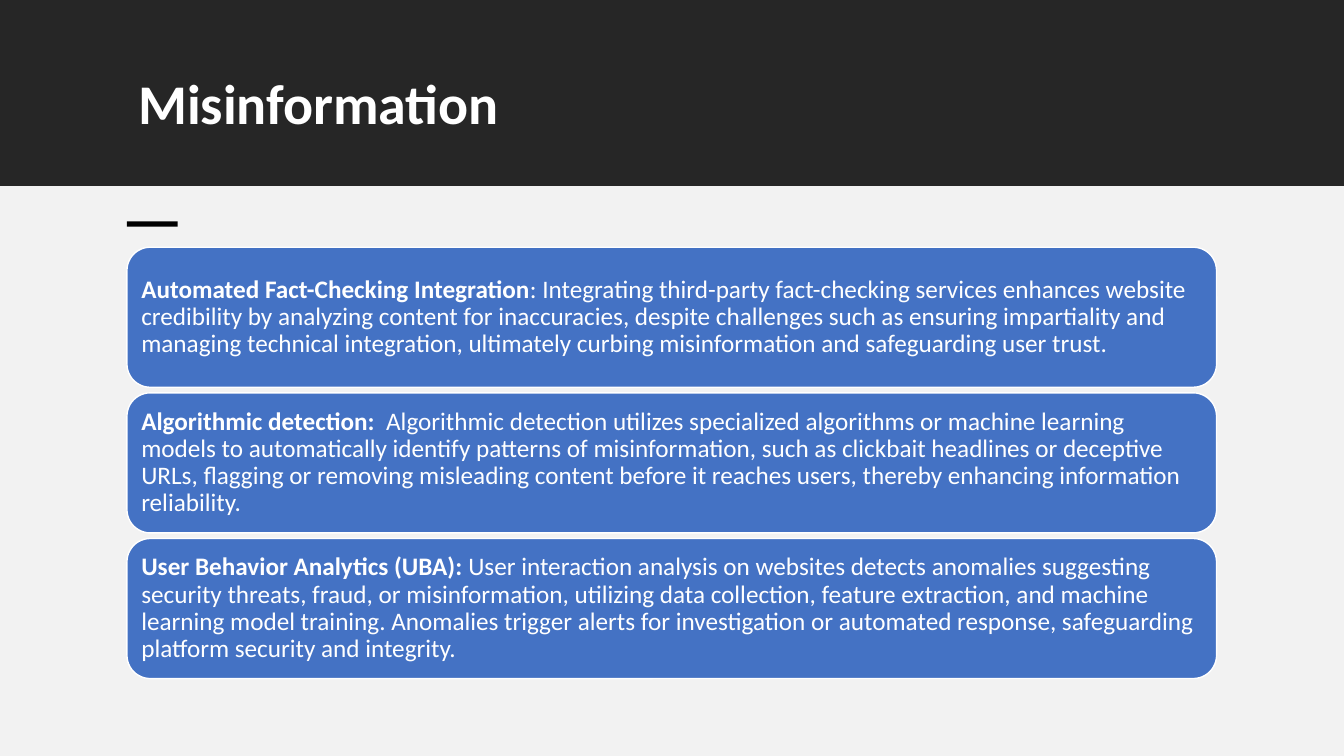
from pptx import Presentation
from pptx.dml.color import RGBColor
from pptx.enum.shapes import MSO_SHAPE as Preset
from pptx.enum.text import MSO_ANCHOR as Anchor, MSO_AUTO_SIZE as AutoSize, PP_ALIGN as Align
from pptx.util import Cm, Pt

CHARCOAL = RGBColor(0x26, 0x26, 0x26)
PALE_GRAY = RGBColor(0xF2, 0xF2, 0xF2)
BLACK = RGBColor(0x00, 0x00, 0x00)
BLUE = RGBColor(0x44, 0x72, 0xC4)
WHITE = RGBColor(0xFF, 0xFF, 0xFF)

SLIDE_WIDTH, SLIDE_HEIGHT = 33.87, 19.05
HEADER_HEIGHT = 4.69
MARGIN, CONTENT_WIDTH = 3.2, 27.46

MEASURES = [
    ("Automated Fact-Checking Integration",
     ": Integrating third-party fact-checking services enhances website credibility by "
     "analyzing content for inaccuracies, despite challenges such as ensuring impartiality "
     "and managing technical integration, ultimately curbing misinformation and "
     "safeguarding user trust."),
    ("Algorithmic detection:  ",
     "Algorithmic detection utilizes specialized algorithms or machine learning models to "
     "automatically identify patterns of misinformation, such as clickbait headlines or "
     "deceptive URLs, flagging or removing misleading content before it reaches users, "
     "thereby enhancing information reliability."),
    ("User Behavior Analytics (UBA):",
     " User interaction analysis on websites detects anomalies suggesting security threats, "
     "fraud, or misinformation, utilizing data collection, feature extraction, and machine "
     "learning model training. Anomalies trigger alerts for investigation or automated "
     "response, safeguarding platform security and integrity."),
]


def set_values(target, values):
    for name, value in values.items():
        setattr(target, name, value)


def add_block(slide, preset, box, color):
    shape = slide.shapes.add_shape(preset, *map(Cm, box))
    shape.shadow.inherit = False
    shape.fill.solid()
    shape.fill.fore_color.rgb = color
    shape.line.fill.background()
    return shape


def add_text(paragraph, text, size, bold):
    run = paragraph.add_run()
    run.text = text
    set_values(run.font, {"name": "Calibri", "size": Pt(size), "bold": bold})
    run.font.color.rgb = WHITE


def format_text(shape, anchor):
    set_values(shape.text_frame, {
        "word_wrap": True, "auto_size": AutoSize.NONE, "vertical_anchor": anchor})
    paragraph = shape.text_frame.paragraphs[0]
    set_values(paragraph, {"alignment": Align.LEFT, "line_spacing": 0.9})
    return paragraph


def add_header(slide, left, top, width, height):
    add_block(slide, Preset.RECTANGLE, (left, top, width, height), CHARCOAL)
    title = slide.shapes.title
    slide.shapes._spTree.append(title._element)
    set_values(title, {"left": Cm(left + 3.23), "top": Cm(top + 1.78),
                       "width": Cm(CONTENT_WIDTH), "height": Cm(2.49)})
    add_text(format_text(title, Anchor.TOP), "Misinformation", 40, True)


def add_body(slide, left, top, width, height):
    add_block(slide, Preset.RECTANGLE, (left, top, width, height), PALE_GRAY)
    add_block(slide, Preset.RECTANGLE, (left + MARGIN, top + 0.89, 1.28, 0.13), BLACK)
    add_cards(slide, left + MARGIN, top + 1.54, CONTENT_WIDTH, 10.87)


def add_cards(slide, left, top, width, height):
    gap = 0.14
    card_height = (height - gap * (len(MEASURES) - 1)) / len(MEASURES)
    for index, (label, description) in enumerate(MEASURES):
        card_top = top + index * (card_height + gap)
        card = add_block(slide, Preset.ROUNDED_RECTANGLE,
                         (left, card_top, width, card_height), BLUE)
        card.line.color.rgb = WHITE
        card.line.width = Pt(1)
        margins = ("margin_left", "margin_top", "margin_right", "margin_bottom")
        set_values(card.text_frame, dict.fromkeys(margins, Cm(0.19)))
        paragraph = format_text(card, Anchor.MIDDLE)
        add_text(paragraph, label, 18, True)
        add_text(paragraph, description, 18, False)


def main():
    presentation = Presentation()
    set_values(presentation, {"slide_width": Cm(SLIDE_WIDTH), "slide_height": Cm(SLIDE_HEIGHT)})
    slide = presentation.slides.add_slide(presentation.slide_layouts[5])
    add_header(slide, 0, 0, SLIDE_WIDTH, HEADER_HEIGHT)
    add_body(slide, 0, HEADER_HEIGHT, SLIDE_WIDTH, SLIDE_HEIGHT - HEADER_HEIGHT)
    presentation.save("out.pptx")


if __name__ == "__main__":
    main()
